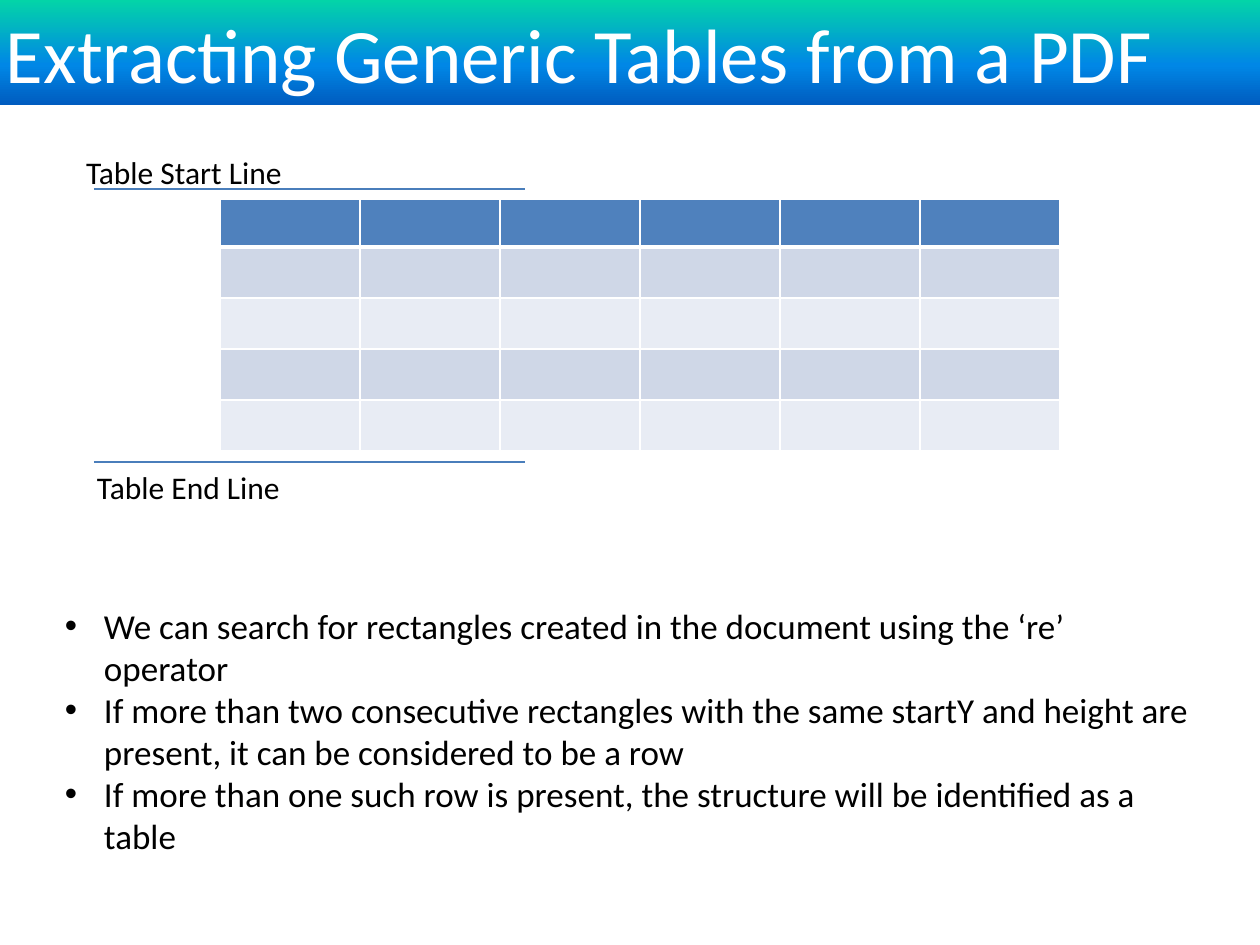
from copy import deepcopy

from lxml import etree
from pptx import Presentation
from pptx.dml.color import RGBColor
from pptx.enum.shapes import MSO_CONNECTOR, MSO_SHAPE
from pptx.enum.text import MSO_ANCHOR, PP_ALIGN
from pptx.oxml.ns import qn
from pptx.util import Pt

RECTANGLE = MSO_SHAPE.RECTANGLE
STRAIGHT = MSO_CONNECTOR.STRAIGHT
MIDDLE, TOP = MSO_ANCHOR.MIDDLE, MSO_ANCHOR.TOP
LEFT = PP_ALIGN.LEFT

WHITE = RGBColor(0xFF, 0xFF, 0xFF)
BLACK = RGBColor(0, 0, 0)
LINE_BLUE = RGBColor(0x4A, 0x7E, 0xBB)
HEADER_BLUE = RGBColor(0x4F, 0x81, 0xBD)
BANDS = [RGBColor(0xE8, 0xEC, 0xF4), RGBColor(0xCF, 0xD7, 0xE7)]
TITLE_STOPS = [
    (0, RGBColor(0x03, 0xD4, 0xA8)),
    (0.62, RGBColor(0x00, 0x87, 0xE6)),
    (1, RGBColor(0x00, 0x5C, 0xBF)),
]


def px(*lengths):
    """Turn pixels (126 to the inch) into EMU."""
    return [round(length * 914400 / 126) for length in lengths]


def write_text(shape, lines, size, color, anchor=TOP):
    frame = shape.text_frame
    frame.word_wrap = True
    frame.vertical_anchor = anchor
    frame.margin_left, frame.margin_top, frame.margin_right, frame.margin_bottom = px(6, 6, 6, 6)
    frame.text = "\n".join(lines)
    for paragraph in frame.paragraphs:
        paragraph.alignment = LEFT
        paragraph.font.name = "Calibri"
        paragraph.font.size = Pt(size)
        paragraph.font.color.rgb = color
    return frame.paragraphs


presentation = Presentation()
presentation.slide_width, presentation.slide_height = px(1260, 945)
slide = presentation.slides.add_slide(presentation.slide_layouts[6])
shapes = slide.shapes

# Sample table: one header row and four banded rows
ROWS, COLUMNS = 5, 6
table = shapes.add_table(ROWS, COLUMNS, *px(220, 199, 840, 252)).table
for column in table.columns:
    column.width = px(140)[0]
for index, row in enumerate(table.rows):
    row.height = px(51 if index else 48)[0]
    for cell in row.cells:
        cell.margin_top = cell.margin_bottom = 0
        properties = cell._tc.get_or_add_tcPr()
        for side in ("lnL", "lnR", "lnT", "lnB"):
            thick = (index, side) in ((0, "lnB"), (1, "lnT"))
            border = etree.SubElement(properties, qn(f"a:{side}"), w=str(Pt(3 if thick else 1)))
            border_fill = etree.SubElement(border, qn("a:solidFill"))
            etree.SubElement(border_fill, qn("a:srgbClr"), val=str(WHITE))
        cell.fill.solid()
        cell.fill.fore_color.rgb = BANDS[index % 2] if index else HEADER_BLUE

# Start and end lines
for y in (189, 462):
    connector = shapes.add_connector(STRAIGHT, *px(94, y, 525, y))
    connector.line.color.rgb = LINE_BLUE
    connector.line.width = Pt(0.75)
    etree.SubElement(connector._element.spPr, qn("a:effectLst"))

# Title bar with a three-colour gradient
title = shapes.add_shape(RECTANGLE, *px(0, 0, 1260, 105))
title.shadow.inherit = False
title.line.fill.background()
title.fill.gradient()
title.fill.gradient_angle = 270
stop_list = title._element.spPr.find(qn("a:gradFill")).find(qn("a:gsLst"))
stop_list.append(deepcopy(stop_list[-1]))
for stop, (position, color) in zip(title.fill.gradient_stops, TITLE_STOPS):
    stop.position = position
    stop.color.rgb = color
write_text(title, ["Extracting Generic Tables from a PDF"], 44, WHITE, MIDDLE)

# Line labels
for label, left, top in (("Table Start Line", 80, 147), ("Table End Line", 91, 462)):
    write_text(shapes.add_textbox(*px(left, top, 397, 45)), [label], 18, BLACK)

# Bulleted explanation
explanation = shapes.add_textbox(*px(59, 598, 1143, 257))
points = [
    "We can search for rectangles created in the document using the ‘re’ operator",
    "If more than two consecutive rectangles with the same startY and height are present, "
    "it can be considered to be a row",
    "If more than one such row is present, the structure will be identified as a table",
]
indent = px(39)[0]
for paragraph in write_text(explanation, points, 20, BLACK):
    properties = paragraph._p.get_or_add_pPr()
    properties.set("marL", str(indent))
    properties.set("indent", str(-indent))
    bullet_font = etree.Element(qn("a:buFont"), typeface="Arial")
    bullet = etree.Element(qn("a:buChar"), char="•")
    properties.find(qn("a:defRPr")).addprevious(bullet_font)
    bullet_font.addnext(bullet)

presentation.save("out.pptx")
